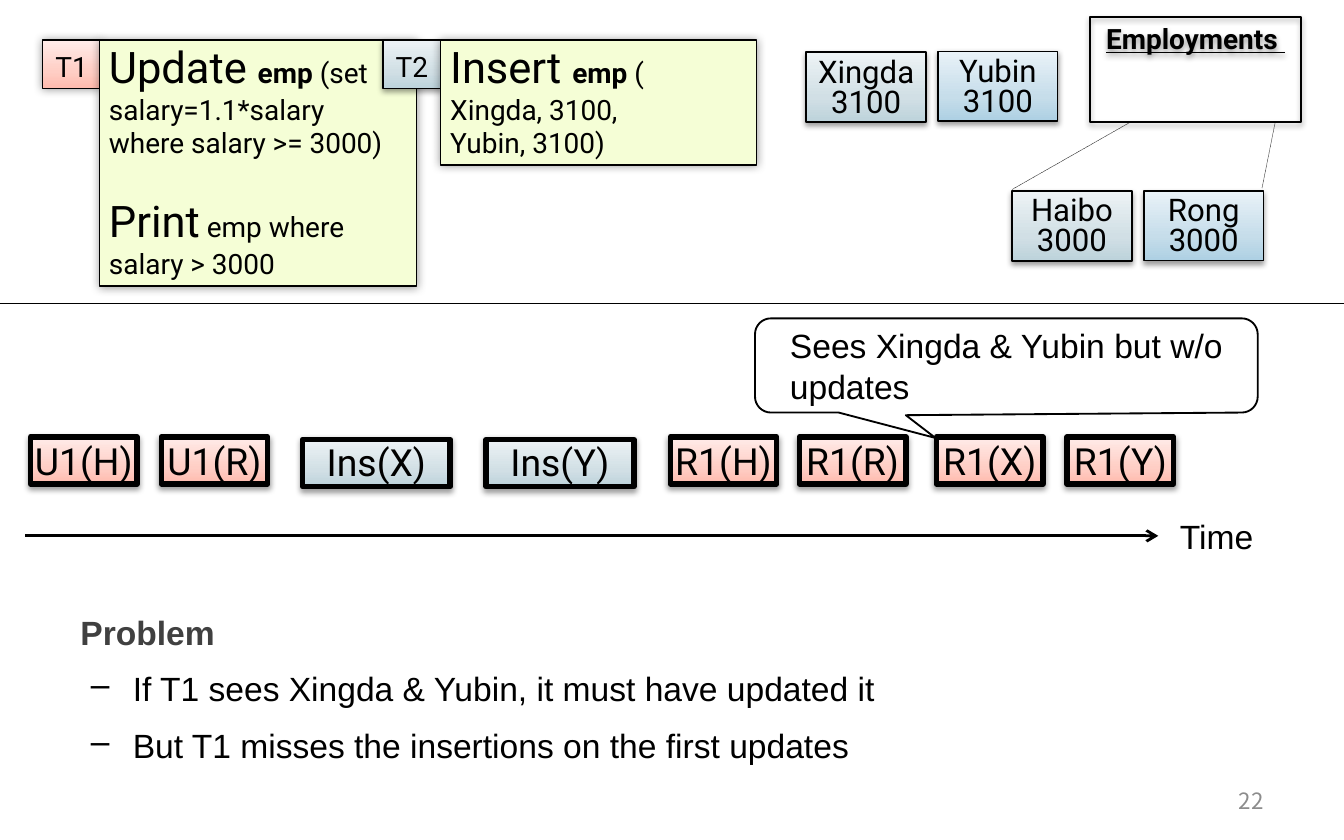
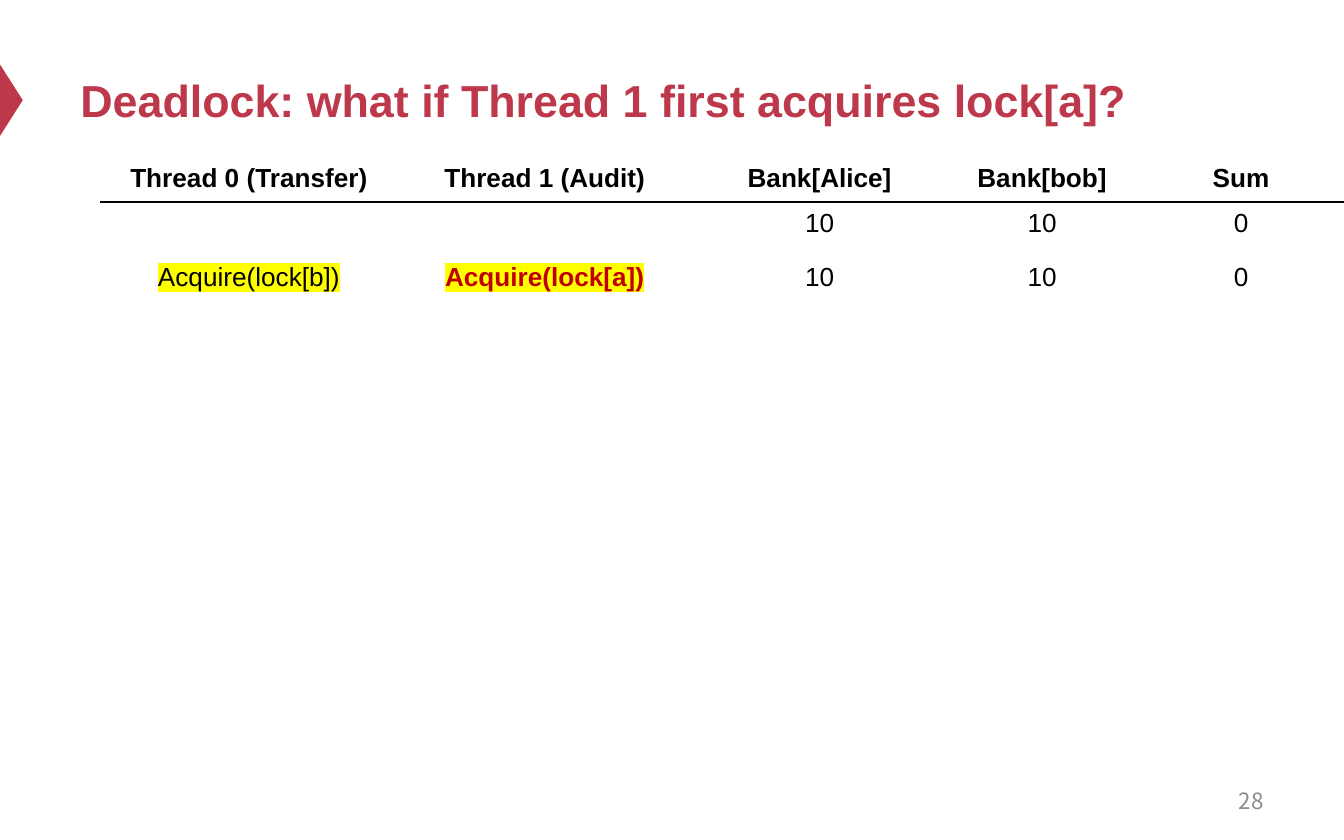
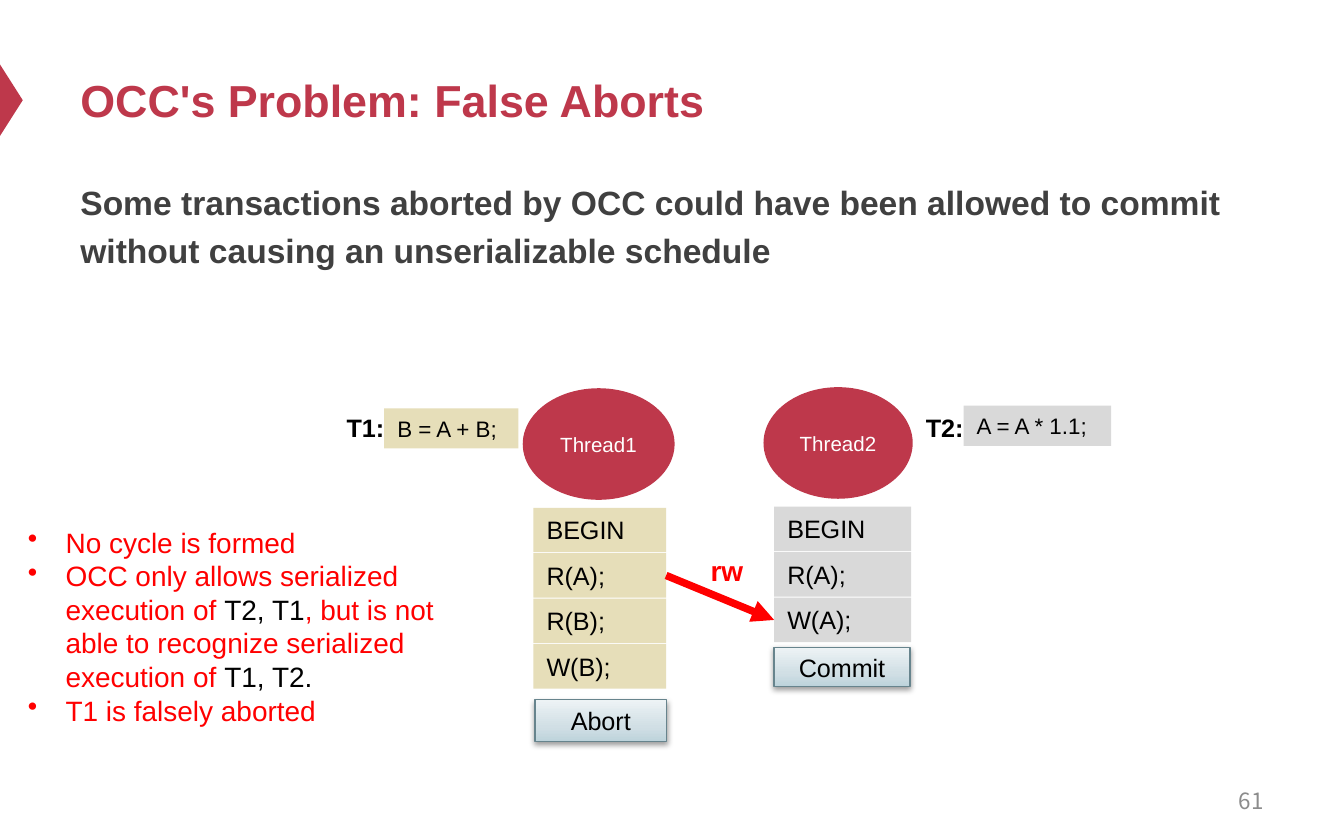
from copy import deepcopy
from dataclasses import dataclass
from math import cos, pi, sin
from typing import NamedTuple

from lxml.etree import SubElement
from pptx import Presentation
from pptx.dml.color import RGBColor
from pptx.enum.dml import MSO_LINE as Dash
from pptx.enum.shapes import MSO_CONNECTOR as Link, MSO_SHAPE as Kind
from pptx.enum.text import MSO_ANCHOR as Anchor, PP_ALIGN as Align
from pptx.oxml.ns import qn
from pptx.util import Cm, Pt

BLACK = RGBColor(0x00, 0x00, 0x00)
WHITE = RGBColor(0xFF, 0xFF, 0xFF)
CRIMSON = RGBColor(0xBE, 0x38, 0x4B)
RED = RGBColor(0xFF, 0x00, 0x00)
DARK_RED = RGBColor(0xC0, 0x00, 0x00)
CHARCOAL = RGBColor(0x40, 0x40, 0x40)
GREY = RGBColor(0x8C, 0x8C, 0x8C)
SILVER = RGBColor(0xD9, 0xD9, 0xD9)
SAND = RGBColor(0xE6, 0xDE, 0xB9)
LIME = RGBColor(0xF5, 0xFE, 0xD6)
STEEL = RGBColor(0x67, 0x84, 0x8D)
YELLOW = RGBColor(0xFF, 0xFF, 0x00)

# Gradient colours from the bottom edge to the top edge
BLUE_FADE = (RGBColor(0xAD, 0xD0, 0xE3), RGBColor(0xC6, 0xDD, 0xEA), RGBColor(0xE9, 0xF2, 0xF8))
SLATE_FADE = (RGBColor(0xBD, 0xD3, 0xDB), RGBColor(0xD1, 0xDF, 0xE5), RGBColor(0xED, 0xF3, 0xF5))
ROSE_FADE = (RGBColor(0xFF, 0xBB, 0xAE), RGBColor(0xFF, 0xCE, 0xC5), RGBColor(0xFF, 0xEC, 0xE9))
STOPS = (0, 0.35, 1)

ARIAL, ROBOTO, NOTO = "Arial", "Roboto", "Noto Sans CJK SC"
WIDTH, HEIGHT = 25.4, 15.88
INSET = (0.25, 0.13, 0.25, 0.13)
TIGHT = (0.2, 0.08, 0.2, 0)


class Box(NamedTuple):
    """Left, top, width and height in centimetres."""
    x: float
    y: float
    w: float
    h: float

    def cm(self) -> list:
        return [Cm(n) for n in self]


class Shade(NamedTuple):
    """Blur and distance in points, angle in degrees, opacity in percent."""
    blur: float
    dist: float
    angle: int
    alpha: int


class Bullet(NamedTuple):
    mark: str
    left: float
    hang: float


DROP = Shade(3.1, 1.6, 90, 38)
GLOW = Shade(5, 0, 0, 40)


@dataclass
class Card:
    name: str
    pay: str
    x: float
    y: float
    fade: tuple
    edge: float


@dataclass
class Step:
    text: str
    x: float
    insert: bool = False


@dataclass
class Thread:
    name: str
    oval: Box
    label: str
    label_box: Box
    code: str
    code_box: Box
    steps: tuple
    steps_box: Box
    tint: RGBColor
    end: str
    end_box: Box


CARDS = (
    Card("Rong", "3000", 21.62, 3.61, BLUE_FADE, 0.75),
    Card("Haibo", "3000", 19.13, 3.61, SLATE_FADE, 1),
    Card("Yubin", "3100", 17.73, 0.97, BLUE_FADE, 0.75),
    Card("Xingda", "3100", 15.24, 0.99, SLATE_FADE, 1),
)
STEPS = (
    Step("U1(H)", 0.58), Step("U1(R)", 3.05),
    Step("Ins(X)", 5.72, True), Step("Ins(Y)", 9.19, True),
    Step("R1(H)", 12.67), Step("R1(R)", 15.11),
    Step("R1(X)", 17.7), Step("R1(Y)", 20.17),
)
THREADS = (
    Thread("Thread1", Box(9.88, 7.34, 2.87, 2.11), "T1:", Box(6.3, 7.67, 1.32, 0.84),
           "B = A + B;", Box(7.26, 7.72, 2.54, 0.76),
           ("BEGIN", "R(A);", "R(B);", "W(B);"), Box(10.08, 9.6, 2.51, 0.84), SAND,
           "Abort", Box(10.11, 13.23, 2.49, 0.79)),
    Thread("Thread2", Box(14.43, 7.32, 2.82, 2.11), "T2:", Box(17.25, 7.67, 1.27, 0.84),
           "A = A * 1.1;", Box(18.21, 7.67, 2.79, 0.76),
           ("BEGIN", "R(A);", "W(A);"), Box(14.63, 9.58, 2.59, 0.84), SILVER,
           "Commit", Box(14.63, 12.24, 2.57, 0.74)),
)
HEADS = ("Thread 0 (Transfer)", "Thread 1 (Audit)", "Bank[Alice]", "Bank[bob]", "Sum")
COLS = (5.59, 5.59, 4.8, 3.61, 3.91)
ROWS = 13


def write(frame, *paras, size: float = 18, font: str = ARIAL, color=BLACK,
          bold: bool = False, under: bool = False, mark=None, align=Align.LEFT,
          line: float = 1, gap: float = 0, bullet: Bullet | None = None,
          lead: int = 0) -> None:
    """Fill a text frame. A paragraph is a string or a list of (text, changes)
    runs; gap is the space between paragraphs, and the first `lead` of them
    carry no bullet."""
    base = dict(size=size, color=color, bold=bold, under=under, mark=mark)
    for i, para in enumerate(paras):
        p = frame.add_paragraph() if i else frame.paragraphs[0]
        if bullet and i >= lead:
            props = p._p.get_or_add_pPr()
            props.set("marL", str(Cm(bullet.left)))
            props.set("indent", str(-Cm(bullet.hang)))
            SubElement(props, qn("a:buChar"), char=bullet.mark)
        p.alignment = align
        p.line_spacing = line
        p.space_before = Pt(gap if i else 0)
        for text, change in [(para, {})] if isinstance(para, str) else para:
            look = base | change
            run = p.add_run()
            run.text = text
            run.font.name = font
            run.font.size = Pt(look["size"])
            run.font.bold = look["bold"]
            run.font.underline = look["under"]
            run.font.color.rgb = look["color"]
            if look["mark"]:
                props = run._r.get_or_add_rPr()
                light = SubElement(props, qn("a:highlight"))
                SubElement(light, qn("a:srgbClr"), val=str(look["mark"]))
                props.find(qn("a:solidFill")).addnext(light)


def fit(frame, anchor, inset: tuple, wrap: bool) -> None:
    frame.word_wrap = wrap
    frame.vertical_anchor = anchor
    (frame.margin_left, frame.margin_top,
     frame.margin_right, frame.margin_bottom) = [Cm(n) for n in inset]


def label(slide, box: Box, *paras, anchor=Anchor.TOP, **look) -> None:
    frame = slide.shapes.add_textbox(*box.cm()).text_frame
    fit(frame, anchor, INSET, True)
    write(frame, *paras, **look)


def paint(shape, fill=None, edge: float = 0, ink=BLACK, shade: Shade | None = None) -> None:
    """Set fill (none, a colour or a fade), outline and shadow."""
    shape.shadow.inherit = False
    if fill is None:
        shape.fill.background()
    elif isinstance(fill, RGBColor):
        shape.fill.solid()
        shape.fill.fore_color.rgb = fill
    else:
        shape.fill.gradient()
        shape.fill.gradient_angle = 90
        stops = shape._element.spPr.find(".//" + qn("a:gsLst"))
        stops.append(deepcopy(stops[-1]))
        for stop, place, tint in zip(shape.fill.gradient_stops, STOPS, fill):
            stop.position = place
            stop.color.rgb = tint
    if edge:
        shape.line.width = Pt(edge)
        shape.line.color.rgb = ink
    else:
        shape.line.fill.background()
    if shade:
        effects = shape._element.spPr.find(qn("a:effectLst"))
        outer = SubElement(effects, qn("a:outerShdw"), blurRad=str(Pt(shade.blur)),
                           dist=str(Pt(shade.dist)), dir=str(shade.angle * 60000),
                           algn="ctr", rotWithShape="0")
        tint = SubElement(outer, qn("a:srgbClr"), val=str(BLACK))
        SubElement(tint, qn("a:alpha"), val=str(shade.alpha * 1000))


def block(slide, box: Box, *paras, kind=Kind.RECTANGLE, fill=None, edge: float = 0,
          ink=BLACK, shade: Shade | None = None, anchor=Anchor.MIDDLE,
          inset: tuple = INSET, wrap: bool = True, align=Align.CENTER, **look):
    shape = slide.shapes.add_shape(kind, *box.cm())
    paint(shape, fill, edge, ink, shade)
    fit(shape.text_frame, anchor, inset, wrap)
    write(shape.text_frame, *paras, align=align, **look)
    return shape


def rule(slide, start: tuple, stop: tuple, width: float, color=BLACK,
         dash=None, head: str = ""):
    ends = [Cm(n) for n in (*start, *stop)]
    line = slide.shapes.add_connector(Link.STRAIGHT, *ends)
    line.line.width = Pt(width)
    line.line.color.rgb = color
    if dash:
        line.line.dash_style = dash
    if head:
        SubElement(line.line._get_or_add_ln(), qn("a:tailEnd"), type=head)
    SubElement(line._element.spPr, qn("a:effectLst"))
    return line


def page(deck, number: int, title: str = ""):
    """Add a blank slide with its number and, if titled, the red marker."""
    slide = deck.slides.add_slide(deck.slide_layouts[6])
    if title:
        wedge = block(slide, Box(-0.46, 1.68, 1.35, 0.43),
                      kind=Kind.ISOSCELES_TRIANGLE, fill=CRIMSON)
        wedge.rotation = 90
        label(slide, Box(1.27, 0.64, 22.86, 2.49), title, anchor=Anchor.MIDDLE,
              size=24, color=CRIMSON, bold=True)
    label(slide, Box(18.21, 14.71, 5.92, 0.84), str(number), anchor=Anchor.MIDDLE,
          size=12, font=NOTO, color=GREY, align=Align.RIGHT)
    return slide


def bubble(slide, box: Box, curve: float, tail: tuple) -> None:
    """Draw a rounded speech bubble whose tail leaves the bottom edge."""
    def bend(x: float, y: float, turn: int) -> list:
        angles = [(turn + n / 8) * pi / 2 for n in range(9)]
        return [(x + curve * cos(a), y + curve * sin(a)) for a in angles]

    left, right = box.x + curve, box.x + box.w - curve
    top, low = box.y + curve, box.y + box.h - curve
    dots = [*bend(left, top, 2), *bend(right, top, 3), *bend(right, low, 0),
            *tail, *bend(left, low, 1)]
    first, *rest = [(Cm(x), Cm(y)) for x, y in dots]
    pen = slide.shapes.build_freeform(*first)
    pen.add_line_segments(rest, close=True)
    paint(pen.convert_to_shape(), WHITE, 1)


def draw_phantom(deck) -> None:
    slide = page(deck, 22)
    block(slide, Box(20.6, 0.33, 3.99, 1.98), "Employments ", edge=1, shade=DROP,
          anchor=Anchor.TOP, inset=(0.25, 0.08, 0.25, 0.08), wrap=False,
          size=15, font=ROBOTO, bold=True, under=True)
    for card in CARDS:
        block(slide, Box(card.x, card.y, 2.26, 1.32), card.name, card.pay,
              fill=card.fade, edge=card.edge, shade=DROP, inset=TIGHT, wrap=False,
              size=16.7, font=ROBOTO, line=0.8)
    for start, stop in (((21.36, 2.31), (19.13, 3.58)), ((24.1, 2.31), (23.85, 3.56))):
        rule(slide, start, stop, 0.25, dash=Dash.ROUND_DOT)

    big, strong = dict(size=23.3), dict(bold=True)
    update = ([("Update ", big), ("emp ", strong),
               ("(set salary=1.1*salary where salary >= 3000)", {})],
              [("Print", big), (" emp where salary > 3000", {})])
    insert = ([("Insert ", big), ("emp ", strong), ("(", {})],
              "Xingda, 3100,", "Yubin, 3100)")
    for name, x, fade, shade, box, paras, gap in (
            ("T1", 0.81, ROSE_FADE, GLOW, Box(1.88, 0.76, 5.99, 4.65), update, 18.5),
            ("T2", 7.24, SLATE_FADE, DROP, Box(8.33, 0.76, 5.97, 2.36), insert, 0)):
        block(slide, Box(x, 0.76, 1.09, 0.91), name, fill=fade, edge=0.75, shade=shade,
              inset=TIGHT, wrap=False, size=15, font=ROBOTO)
        block(slide, box, *paras, fill=LIME, edge=0.75, shade=GLOW, anchor=Anchor.TOP,
              inset=(0.18, 0, 0.18, 0.08), align=Align.LEFT, size=15, font=ROBOTO, gap=gap)

    rule(slide, (0, 5.74), (WIDTH, 5.74), 0.75)
    for step in STEPS:
        box = Box(step.x, 8.31, 2.79, 0.89) if step.insert else Box(step.x, 8.26, 2.01, 0.89)
        block(slide, box, step.text, fill=SLATE_FADE if step.insert else ROSE_FADE,
              edge=3, shade=DROP, inset=(0.25, 0.1, 0.25, 0 if step.insert else 0.1),
              wrap=False, size=20, font=ROBOTO, line=0.8 if step.insert else 1)
    rule(slide, (0.48, 10.13), (21.89, 10.13), 1.5, head="arrow")
    label(slide, Box(22.05, 9.63, 2.01, 1.02), "Time")
    bubble(slide, Box(14.27, 6.02, 9.5, 1.78), 0.3,
           ((17.12, 7.85), (17.68, 8.28), (15.85, 7.8)))
    label(slide, Box(14.68, 6.02, 9.47, 1.8), "Sees Xingda & Yubin but w/o updates")
    label(slide, Box(1.27, 11.28, 22.86, 3.96),
          [("Problem", dict(color=CHARCOAL, bold=True))],
          "If T1 sees Xingda & Yubin, it must have updated it",
          "But T1 misses the insertions on the first updates",
          line=1.2, gap=4.5, bullet=Bullet("–", 0.99, 0.79), lead=1)


def border(cell, side: str) -> None:
    line = SubElement(cell._tc.get_or_add_tcPr(), qn(f"a:{side}"), w=str(Pt(1)))
    SubElement(SubElement(line, qn("a:solidFill")), qn("a:srgbClr"), val=str(BLACK))


def draw_deadlock(deck) -> None:
    slide = page(deck, 28, "Deadlock: what if Thread 1 first acquires lock[a]?")
    frame = Box(1.91, 2.97, sum(COLS), 0.82 * ROWS)
    table = slide.shapes.add_table(ROWS, len(COLS), *frame.cm()).table
    table.first_row = table.horz_banding = False
    for col, width in zip(table.columns, COLS):
        col.width = Cm(width)
    for head, first in zip(table.rows[0].cells, table.rows[1].cells):
        border(head, "lnB")
        border(first, "lnT")
    for cell in table.iter_cells():
        cell.fill.background()
    marked = dict(mark=YELLOW)
    lines = (
        [[(head, dict(bold=True))] for head in HEADS],
        ["", "", "10", "10", "0"],
        [[("Acquire(lock[b])", marked)],
         [("Acquire(lock[a])", marked | dict(color=DARK_RED, bold=True))],
         "10", "10", "0"],
    )
    for row, line in zip(table.rows, lines):
        for cell, para in zip(row.cells, line):
            write(cell.text_frame, para, size=14, align=Align.CENTER)


def draw_aborts(deck) -> None:
    slide = page(deck, 61, "OCC's Problem: False Aborts")
    label(slide, Box(1.27, 3.15, 22.86, 2.4),
          "Some transactions aborted by OCC could have been allowed to commit "
          "without causing an unserializable schedule",
          color=CHARCOAL, bold=True, line=1.2)
    steps = {}
    for thread in THREADS:
        plain = dict(fill=thread.tint, anchor=Anchor.TOP, align=Align.LEFT)
        block(slide, thread.code_box, thread.code, size=12, **plain)
        label(slide, thread.label_box, thread.label, size=13.5, bold=True)
        block(slide, thread.oval, thread.name, kind=Kind.OVAL, fill=CRIMSON,
              size=11, color=WHITE)
        for i, text in enumerate(thread.steps):
            box = thread.steps_box
            steps[thread.name, text] = block(
                slide, box._replace(y=box.y + 0.86 * i), text, size=13.5, **plain)
        block(slide, thread.end_box, thread.end, fill=SLATE_FADE, edge=0.75,
              ink=STEEL, shade=DROP, size=13.5)
    arrow = rule(slide, (12.6, 10.82), (14.63, 11.66), 4, RED, head="triangle")
    arrow.begin_connect(steps["Thread1", "R(A);"], 3)
    arrow.end_connect(steps["Thread2", "W(A);"], 1)
    dark = dict(color=BLACK)
    label(slide, Box(0.28, 9.8, 8.41, 4.11),
          "No cycle is formed",
          [("OCC only allows serialized execution of ", {}), ("T2, T1", dark),
           (", but is not able to recognize serialized execution of ", {}),
           ("T1, T2.", dark)],
          "T1 is falsely aborted",
          size=15, color=RED, bullet=Bullet("•", 0.71, 0.71))
    label(slide, Box(13.18, 10.34, 1.42, 0.89), "rw", size=15, color=RED, bold=True)


def main() -> None:
    deck = Presentation()
    deck.slide_width, deck.slide_height = Cm(WIDTH), Cm(HEIGHT)
    draw_phantom(deck)
    draw_deadlock(deck)
    draw_aborts(deck)
    deck.save("out.pptx")


if __name__ == "__main__":
    main()
